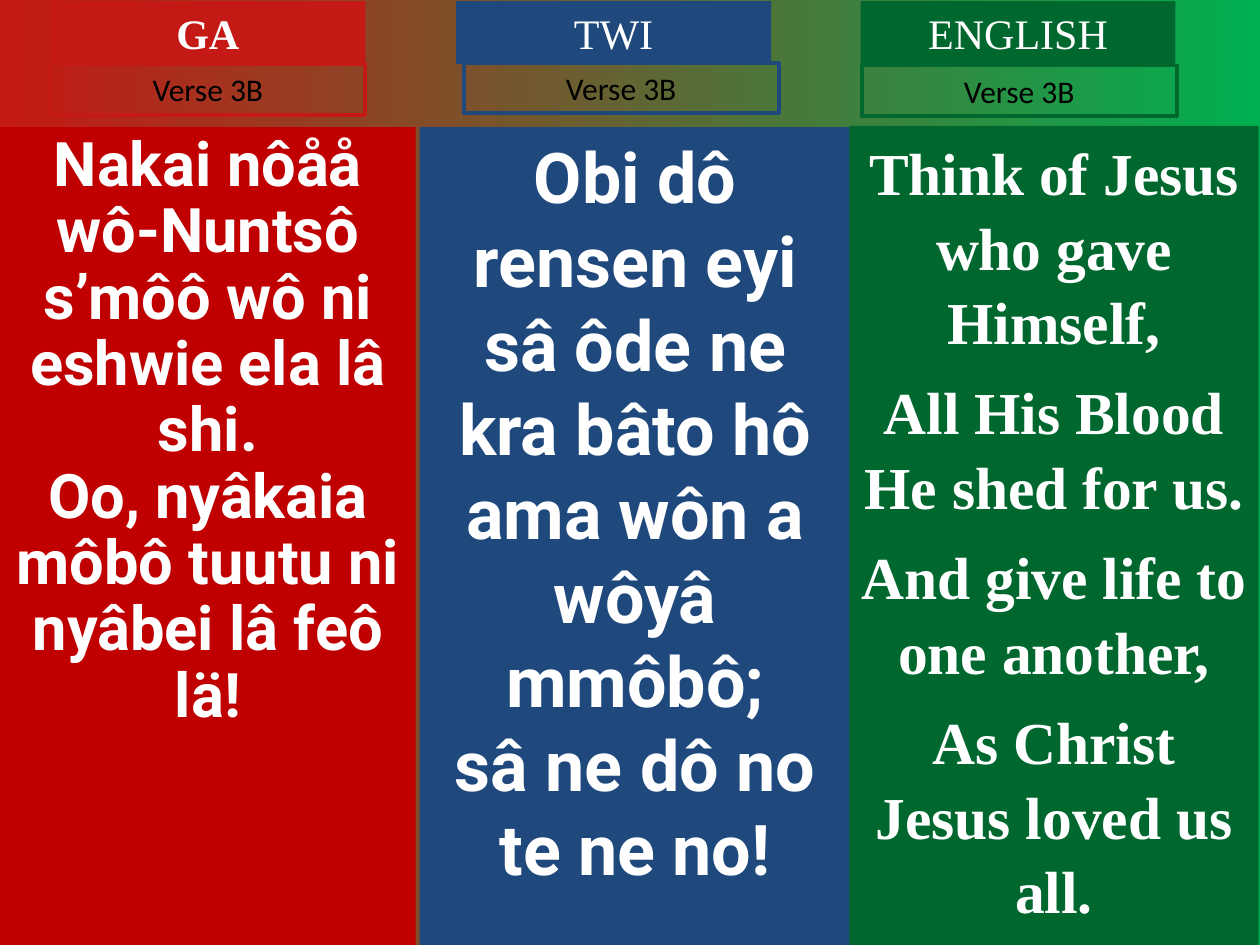
"""Build a three-language hymn verse slide."""
import pptx
import pptx.dml.color
import pptx.enum.shapes
import pptx.enum.text
import pptx.util

Inches = pptx.util.Inches
Pt = pptx.util.Pt

TITLE = {"name": "Times New Roman", "size": Pt(24), "bold": False}
LABEL = {"name": "Calibri", "size": Pt(18), "bold": False}
CENTER = {"alignment": pptx.enum.text.PP_ALIGN.CENTER}

COLUMNS = [
    {
        "title": "GA",
        "title_font": {**TITLE, "bold": True},
        "colors": ("C51915", "C00000"),
        "title_at": (0.4, 0.01, 2.5, 0.5),
        "label_at": (0.4, 0.51, 2.5, 0.4),
        "verse_at": (0, 1.01, 3.3, 6.49),
        "verse_font": {"name": "Roboto", "size": Pt(35.1), "bold": True},
        "spacing": {"line_spacing": 0.9},
        "verse": [
            "Nakai nôåå wô-Nuntsô s’môô wô ni eshwie ela lâ shi.",
            "Oo, nyâkaia môbô tuutu ni nyâbei lâ feô lä!",
        ],
    },
    {
        "title": "TWI",
        "title_font": TITLE,
        "colors": ("1F497D", "1F497D"),
        "title_at": (3.62, 0.01, 2.5, 0.5),
        "label_at": (3.68, 0.5, 2.5, 0.4),
        "verse_at": (3.33, 1.01, 3.42, 6.49),
        "verse_font": {"name": "Roboto", "size": Pt(40), "bold": True},
        "spacing": {},
        "verse": [
            "Obi dô rensen eyi sâ ôde ne kra bâto hô",
            "ama wôn a wôyâ mmôbô;",
            "sâ ne dô no te ne no!",
        ],
    },
    {
        "title": "ENGLISH",
        "title_font": TITLE,
        "colors": ("00682F", "00682F"),
        "title_at": (6.83, 0.01, 2.5, 0.5),
        "label_at": (6.84, 0.52, 2.5, 0.4),
        "verse_at": (6.74, 1, 3.25, 6.5),
        "verse_font": {"name": "Times New Roman", "size": Pt(34), "bold": True},
        "spacing": {"line_spacing": 1.05, "space_before": Pt(8.5)},
        "verse": [
            "Think of Jesus who gave Himself,",
            "All His Blood He shed for us.",
            "And give life to one another,",
            "As Christ Jesus loved us all.",
        ],
    },
]


def rgb(value):
    """Return the colour for a hex string."""
    return pptx.dml.color.RGBColor.from_string(value)


def apply(target, values):
    """Set each attribute of the target from a dict."""
    for name, value in values.items():
        setattr(target, name, value)


def set_background(s, start, end):
    """Fill the slide with a left-to-right gradient."""
    fill = s.background.fill
    fill.gradient()
    fill.gradient_angle = 0
    for stop, color, position in zip(fill.gradient_stops, (start, end), (0, 1)):
        stop.color.rgb = rgb(color)
        stop.position = position


def write(sp, lines, font, color, spacing):
    """Write centred paragraphs from the top of a shape."""
    tf = sp.text_frame
    apply(tf, {"word_wrap": True, "vertical_anchor": pptx.enum.text.MSO_ANCHOR.TOP})
    for i, line in enumerate(lines):
        p = tf.paragraphs[0] if i == 0 else tf.add_paragraph()
        apply(p, {**CENTER, **spacing})
        if i == 0:
            p.space_before = Pt(0)
        r = p.add_run()
        r.text = line
        apply(r.font, font)
        r.font.color.rgb = rgb(color)


def add_box(s, at, fill=None, line=None):
    """Add a rectangle with an optional fill and outline."""
    kind = pptx.enum.shapes.MSO_SHAPE.RECTANGLE
    sp = s.shapes.add_shape(kind, *map(Inches, at))
    sp.shadow.inherit = False
    if fill:
        sp.fill.solid()
        sp.fill.fore_color.rgb = rgb(fill)
    else:
        sp.fill.background()
    if line:
        sp.line.color.rgb = rgb(line)
        sp.line.width = Pt(2.25)
    else:
        sp.line.fill.background()
    return sp


def add_column(s, col):
    """Add the verse panel, language title and verse label of one column."""
    head, panel = col["colors"]
    verse = add_box(s, col["verse_at"], fill=panel)
    write(verse, col["verse"], col["verse_font"], "FFFFFF", col["spacing"])
    title = add_box(s, col["title_at"], fill=head)
    write(title, [col["title"]], col["title_font"], "FFFFFF", {})
    label = add_box(s, col["label_at"], line=head)
    write(label, ["Verse 3B"], LABEL, "000000", {})
    for sp in (title, label):
        sp.text_frame.auto_size = pptx.enum.text.MSO_AUTO_SIZE.SHAPE_TO_FIT_TEXT


def main():
    """Build and save the slide."""
    prs = pptx.Presentation()
    apply(prs, {"slide_width": Inches(10), "slide_height": Inches(7.5)})
    s = prs.slides.add_slide(prs.slide_layouts[6])
    set_background(s, "C51915", "00B050")
    for col in COLUMNS:
        add_column(s, col)
    prs.save("out.pptx")


if __name__ == "__main__":
    main()
